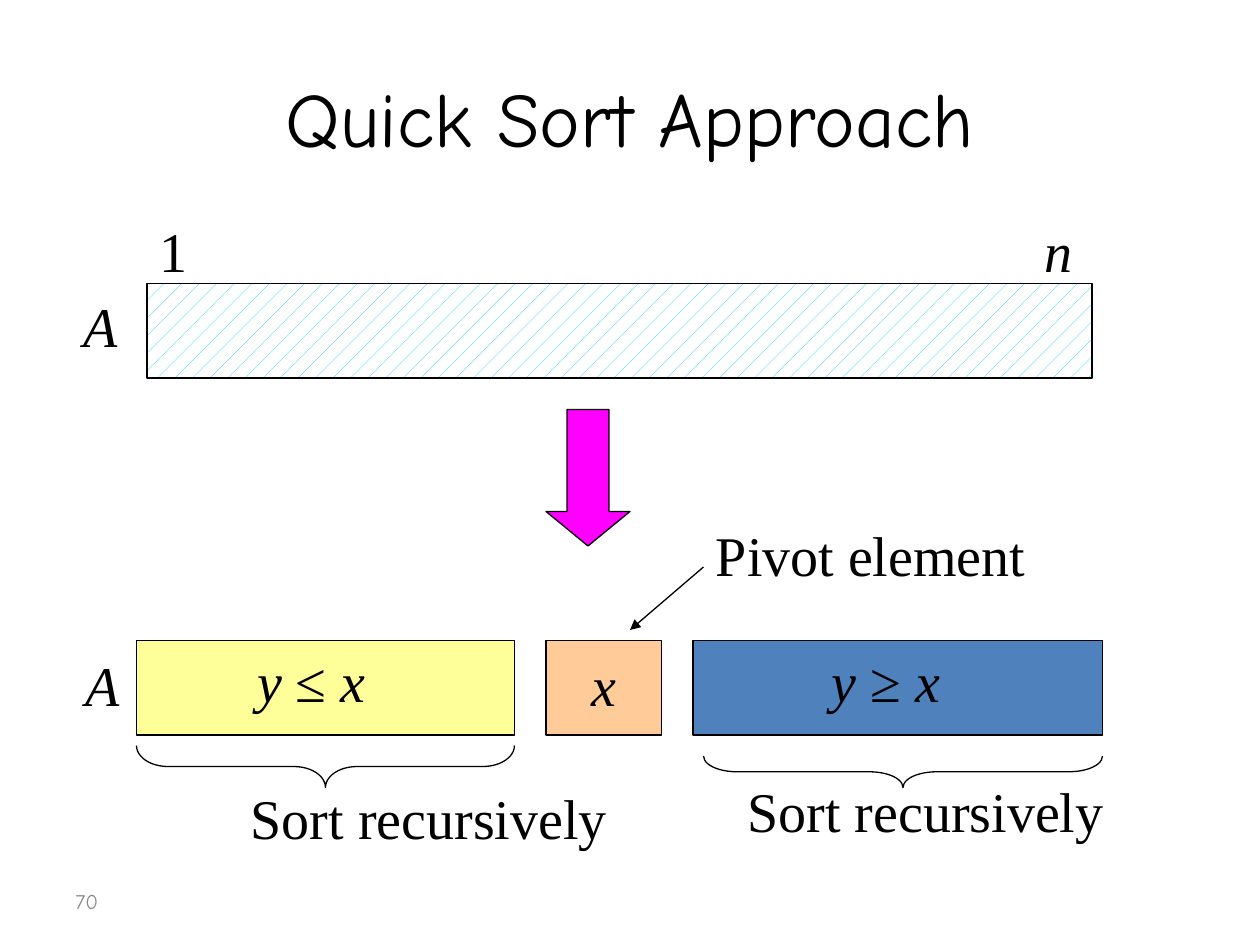
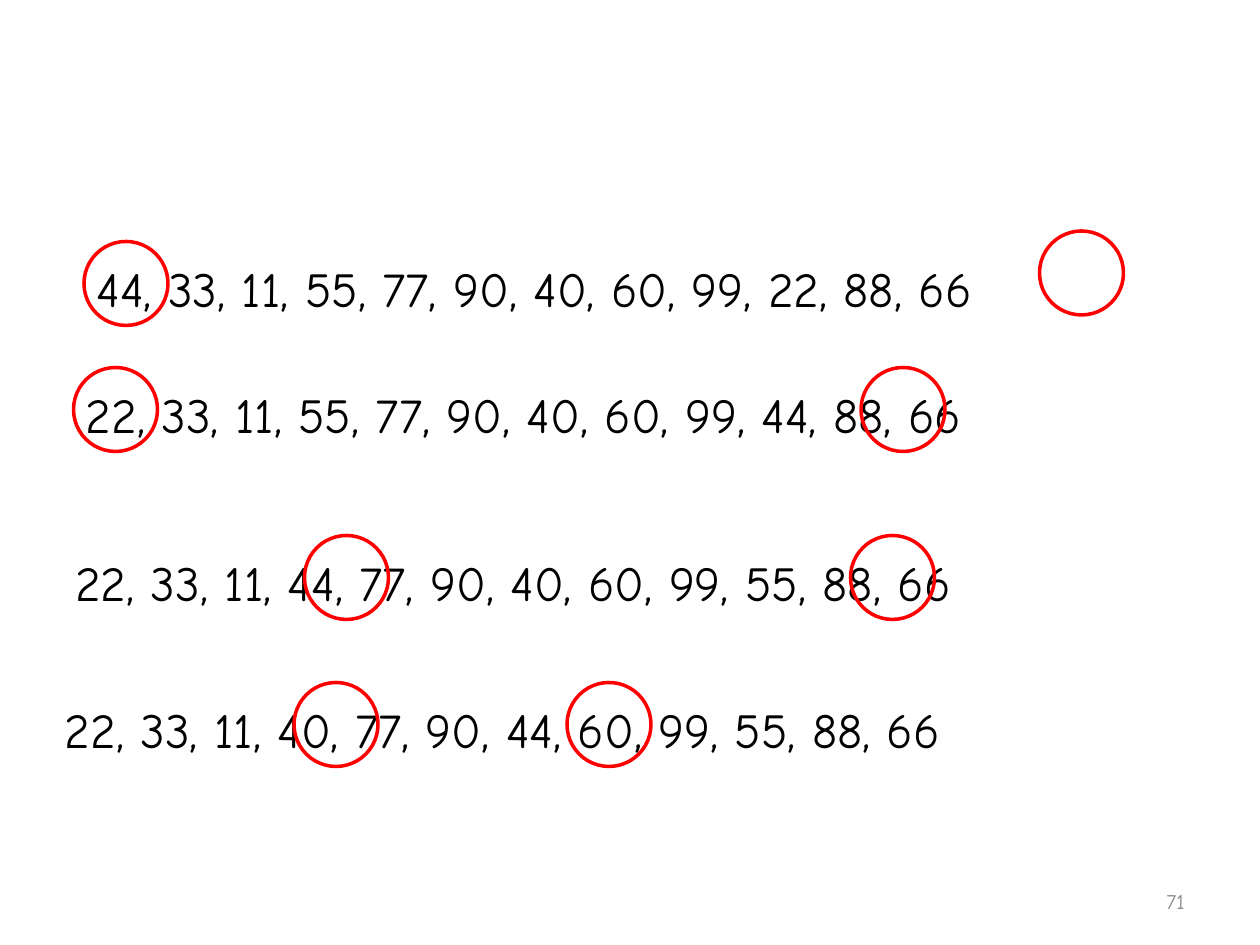
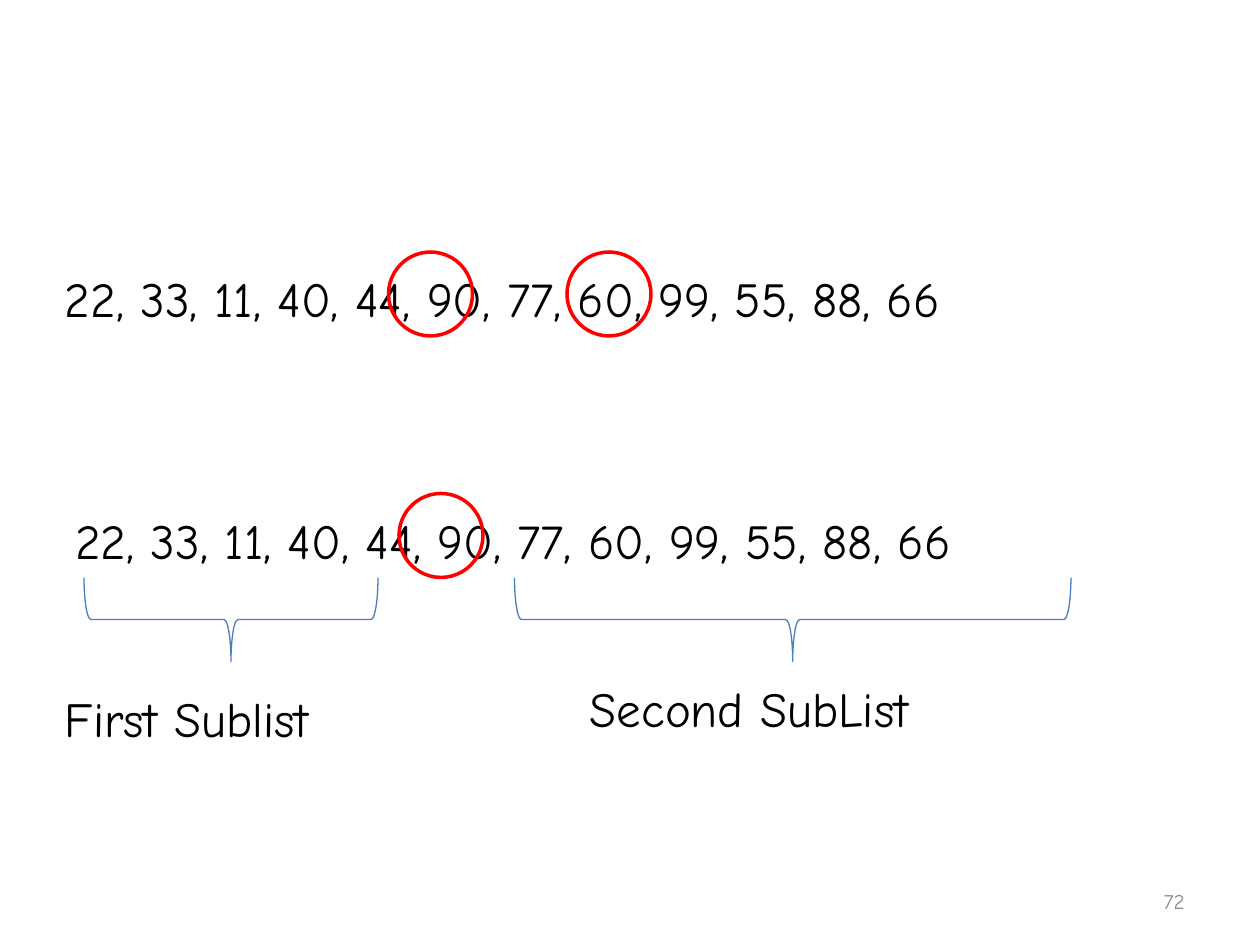
from lxml.etree import SubElement
from pptx import Presentation
from pptx.dml.color import RGBColor
from pptx.enum.dml import MSO_PATTERN
from pptx.enum.shapes import MSO_CONNECTOR, MSO_SHAPE as Shape
from pptx.enum.text import MSO_ANCHOR as Anchor, PP_ALIGN as Align
from pptx.oxml.ns import qn
from pptx.util import Pt

PX = 7620
COLORS = {
    "ink": "000000", "paper": "FFFFFF", "hatch": "00CCFF",
    "smaller": "FFFF99", "pivot": "FFCC99", "larger": "4F81BD",
    "arrow": "FF00FF", "marker": "FF0000", "brace": "4B7EBC",
    "page": "898989",
}
HAND, SERIF = "Comic Neue", "Times New Roman"
TITLE_ONLY, BLANK = 5, 6
FIRST_PAGE = 70
MARKER = 80


def emu(*lengths):
    return [length * PX for length in lengths]


def color(name):
    return RGBColor.from_string(COLORS[name])


class Deck:
    def __init__(self):
        self.prs = Presentation()
        self.prs.slide_width, self.prs.slide_height = emu(1200, 900)
        self.page = FIRST_PAGE
        self.slide = None

    def start(self, title=None, page_align=Align.RIGHT):
        layout = self.prs.slide_layouts[BLANK if title is None else TITLE_ONLY]
        self.slide = self.prs.slides.add_slide(layout)
        if title is not None:
            heading = self.slide.shapes.title
            heading.left, heading.top, heading.width, heading.height = emu(60, 36, 1080, 150)
            self.add_runs(heading, [(title, False)], HAND, 44, align=Align.CENTER, anchor=Anchor.MIDDLE)
        left = 60 if page_align == Align.LEFT else 860
        self.text(left, 834, 280, 48, str(self.page), 12, "page", page_align, Anchor.MIDDLE)
        self.page += 1

    def add_runs(self, holder, runs, font, size, ink="ink", align=Align.LEFT, anchor=Anchor.TOP):
        frame = holder.text_frame
        frame.vertical_anchor = anchor
        paragraph = frame.paragraphs[0]
        paragraph.alignment = align
        for words, italic in runs:
            run = paragraph.add_run()
            run.text = words
            run.font.name = font
            run.font.size = Pt(size)
            run.font.italic = italic
            run.font.color.rgb = color(ink)

    def text(self, x, y, w, h, words, size=28, ink="ink", align=Align.LEFT,
             anchor=Anchor.TOP, parent=None):
        box = (parent or self.slide).shapes.add_textbox(*emu(x, y, w, h))
        box.text_frame.word_wrap = True
        self.add_runs(box, [(words, False)], HAND, size, ink, align, anchor)

    def label(self, x, y, w, *runs):
        box = self.slide.shapes.add_textbox(*emu(x, y, w, 76))
        box.text_frame.word_wrap = False
        self.add_runs(box, runs, SERIF, 32)

    def shape(self, kind, x, y, w, h, fill=None, line="ink", weight=0.75, parent=None):
        figure = (parent or self.slide).shapes.add_shape(kind, *emu(x, y, w, h))
        figure.shadow.inherit = False
        if fill:
            figure.fill.solid()
            figure.fill.fore_color.rgb = color(fill)
        else:
            figure.fill.background()
        figure.line.color.rgb = color(line)
        figure.line.width = Pt(weight)
        return figure

    def hatched(self, x, y, w, h):
        fill = self.shape(Shape.RECTANGLE, x, y, w, h).fill
        fill.patterned()
        fill.pattern = MSO_PATTERN.PERCENT_5
        fill.fore_color.rgb = color("hatch")
        fill.back_color.rgb = color("paper")

    def brace(self, x, y, w, h, line="ink", curl=None):
        shift = (w - h) // 2
        figure = self.shape(Shape.LEFT_BRACE, x + shift, y - shift, h, w, line=line)
        figure.rotation = 270
        if curl:
            figure.adjustments[0] = curl

    def pointer(self, *ends):
        line = self.slide.shapes.add_connector(MSO_CONNECTOR.STRAIGHT, *emu(*ends))
        line.line.color.rgb = color("ink")
        line.line.width = Pt(0.75)
        properties = line._element.spPr
        SubElement(properties.get_or_add_ln(), qn("a:tailEnd"), type="triangle")
        SubElement(properties, qn("a:effectLst"))

    def marker(self, x, y, parent=None):
        self.shape(Shape.OVAL, x, y, MARKER, MARKER, line="marker", weight=2, parent=parent)

    def step(self, x, y, numbers, *marked, width=1050):
        group = self.slide.shapes.add_group_shape()
        self.text(x, y, width, 105, numbers, parent=group)
        for left in marked:
            self.marker(left, y - 10, group)


def approach(deck):
    deck.start("Quick Sort Approach", Align.LEFT)
    deck.hatched(140, 270, 900, 90)
    left = 130
    for part, width in (("smaller", 360), ("pivot", 110), ("larger", 390)):
        deck.shape(Shape.RECTANGLE, left, 610, width, 90, part)
        left += width + 30
    deck.label(552, 614, 48, ("x", True))
    for x, relation in ((233, "≤ "), (780, "≥ ")):
        deck.label(x, 610, 127, ("y ", True), (relation, False), ("x", True))
    for x, y in ((68, 272), (70, 614)):
        deck.label(x, y, 56, ("A", True))
    deck.label(140, 200, 50, ("1", False))
    deck.label(983, 200, 50, ("n", True))
    deck.label(670, 490, 319, ("Pivot element", False))
    deck.pointer(670, 540, 600, 600)
    deck.brace(130, 710, 360, 40, curl=0.75)
    deck.brace(670, 720, 380, 30, curl=1.06)
    for x, y in ((227, 740), (700, 734)):
        deck.label(x, y, 364, ("Sort recursively", False))
    arrow = deck.shape(Shape.DOWN_ARROW, 520, 390, 80, 130, "arrow")
    arrow.adjustments[1] = 0.41


def swaps(deck):
    deck.start()
    deck.step(80, 240, "44, 33, 11, 55, 77, 90, 40, 60, 99, 22, 88, 66", 80, width=1000)
    deck.marker(990, 220)
    deck.step(70, 360, "22, 33, 11, 55, 77, 90, 40, 60, 99, 44, 88, 66", 70, 820)
    deck.step(60, 520, "22, 33, 11, 44, 77, 90, 40, 60, 99, 55, 88, 66", 810, 290)
    deck.step(50, 660, "22, 33, 11, 40, 77, 90, 44, 60, 99, 55, 88, 66", 540, 280)


def sublists(deck):
    deck.start()
    partitioned = "22, 33, 11, 40, 44, 90, 77, 60, 99, 55, 88, 66"
    deck.step(50, 250, partitioned, 540, 370)
    deck.step(60, 480, partitioned, 380)
    deck.brace(80, 550, 280, 80, "brace")
    deck.brace(490, 550, 530, 80, "brace")
    deck.text(50, 650, 350, 68, "First Sublist")
    deck.text(550, 640, 500, 68, "Second SubList")


def main():
    deck = Deck()
    for build in (approach, swaps, sublists):
        build(deck)
    deck.prs.save("out.pptx")


if __name__ == "__main__":
    main()
